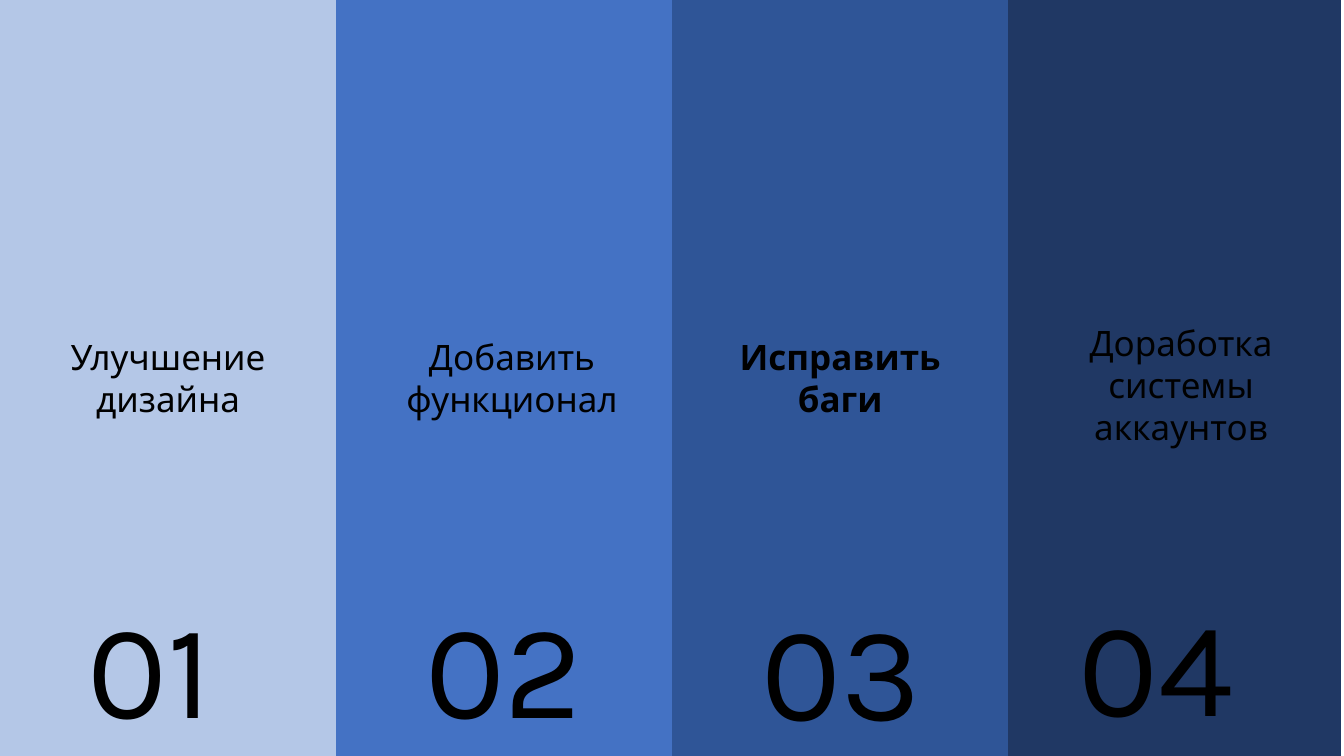
from pptx import Presentation
from pptx import util as u
from pptx.dml.color import RGBColor
from pptx.enum import shapes, text

WIDTH, HEIGHT = u.Inches(13.33), u.Inches(7.5)
COLS, ROWS = 40, 30
BAND = COLS / 4

BLACK = RGBColor(0x00, 0x00, 0x00)
PALE = RGBColor(0xB4, 0xC7, 0xE7)
BLUE = RGBColor(0x44, 0x72, 0xC4)
DEEP = RGBColor(0x2F, 0x55, 0x97)
NAVY = RGBColor(0x20, 0x38, 0x64)


def grid(left, top, wide, high):
    """Turn grid columns and rows into slide lengths."""
    col, row = WIDTH / COLS, HEIGHT / ROWS
    return int(left * col), int(top * row), int(wide * col), int(high * row)


def write(frame, lines, size, align, bold=False):
    frame.word_wrap = True
    for i, line in enumerate(lines):
        para = frame.paragraphs[0] if i == 0 else frame.add_paragraph()
        para.text = line
        para.alignment = align
        font = para.font
        font.name, font.size, font.bold = "Karla", u.Pt(size), bold
        font.color.rgb = BLACK


def add_band(group, left, color):
    band = group.shapes.add_shape(
        shapes.MSO_SHAPE.RECTANGLE, *grid(left, 0, BAND, ROWS))
    band.shadow.inherit = False
    band.fill.solid()
    band.fill.fore_color.rgb = color
    band.line.fill.background()
    return band


def add_label(group, place, words, size, align, bold=False):
    frame = group.shapes.add_textbox(*grid(*place)).text_frame
    write(frame, [words], size, align, bold)
    frame.auto_size = text.MSO_AUTO_SIZE.SHAPE_TO_FIT_TEXT


def add_step(slide, left, color, number, spot, title, place=None, bold=False):
    """Add a band with its number; a title without a place fills the band."""
    group = slide.shapes.add_group_shape()
    band = add_band(group, left, color)
    add_label(group, (*spot, 6.24, 6.88), number, 96, text.PP_ALIGN.LEFT)
    if place:
        add_label(group, place, title, 25, text.PP_ALIGN.CENTER, bold)
    else:
        band.text_frame.vertical_anchor = text.MSO_ANCHOR.MIDDLE
        write(band.text_frame, title.split(), 25, text.PP_ALIGN.CENTER, bold)


def main():
    deck = Presentation()
    deck.slide_width, deck.slide_height = WIDTH, HEIGHT
    slide = deck.slides.add_slide(deck.slide_layouts[6])

    # Right to left, so that each band overlaps the one after it
    add_step(slide, 29.91, NAVY, "04", (31.8, 22.92),
             "Доработка системы аккаунтов", (30.15, 12.56, BAND, 5.44))
    add_step(slide, 2 * BAND, DEEP, "03", (22.38, 23.08),
             "Исправить баги", (21.66, 13.12, 6.69, 3.76), bold=True)
    add_step(slide, BAND, BLUE, "02", (12.36, 23),
             "Добавить функционал", (11.43, 13.12, 7.62, 3.76))
    add_step(slide, 0, PALE, "01", (2.31, 23), "Улучшение дизайна")

    deck.save("out.pptx")


if __name__ == "__main__":
    main()
